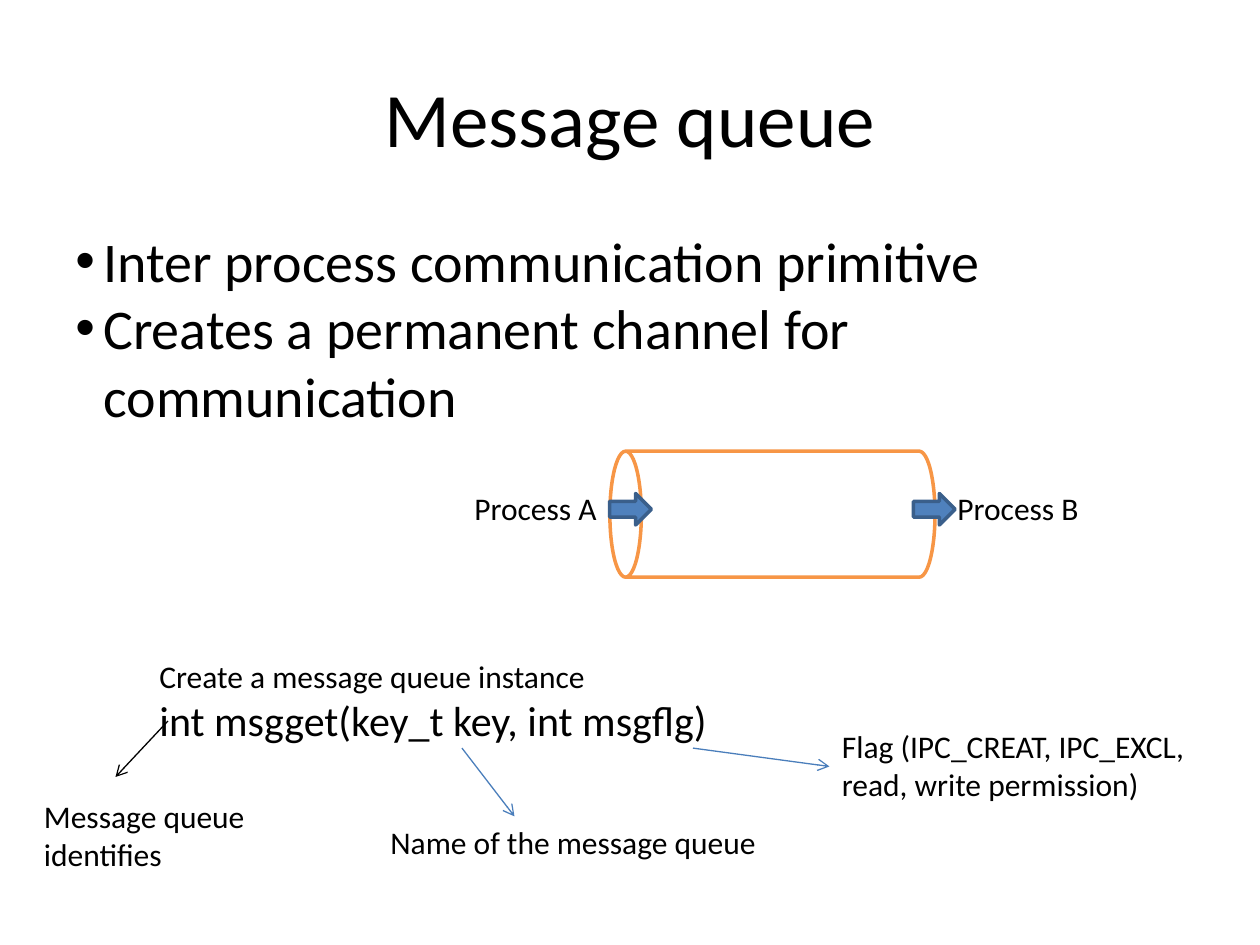
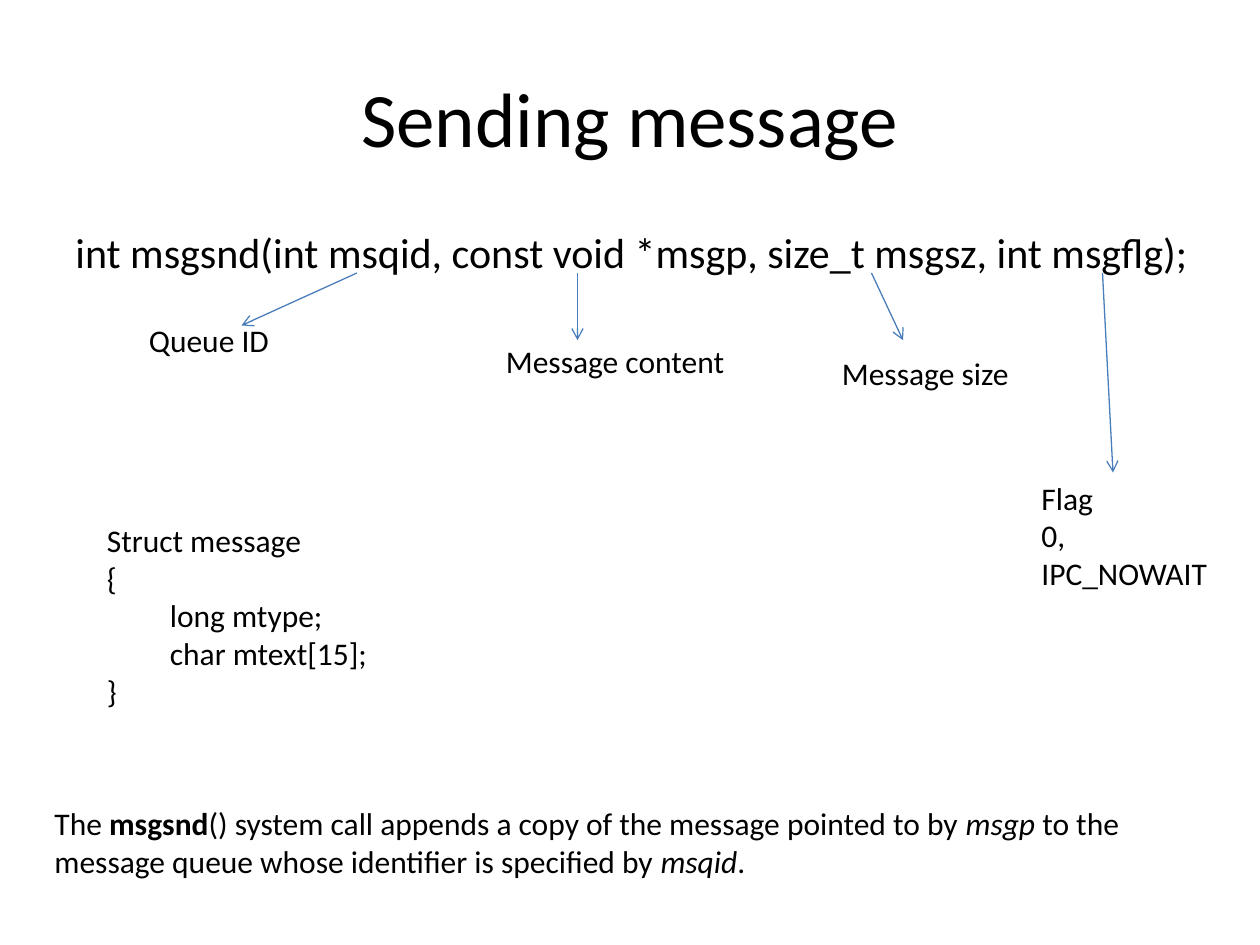
from lxml.etree import SubElement
from pptx import Presentation
from pptx.dml.color import RGBColor
from pptx.enum.shapes import MSO_CONNECTOR, MSO_SHAPE
from pptx.enum.text import MSO_ANCHOR, PP_ALIGN
from pptx.oxml.ns import qn
from pptx.util import Pt

BLACK, WHITE = "000000", "FFFFFF"
BLUE, DARK_BLUE, LINE_BLUE = "4F81BD", "3A5F8B", "4A7EBB"
ORANGE = "F79646"


def color(value):
    """Turn a hex string into a colour."""
    return RGBColor.from_string(value)


class Deck:
    """Holds the shared style and the current slide."""

    font = "Calibri"
    label_size, code_size, body_size, title_size = 18, 24, 32, 44
    bullet_indent = 16

    def __init__(self):
        """Start an empty 4:3 presentation."""
        self.prs = Presentation()
        self.prs.slide_width, self.prs.slide_height = Pt(720), Pt(540)
        self.s = None

    def slide(self, title):
        """Add a blank slide with its centred title."""
        self.s = self.prs.slides.add_slide(self.prs.slide_layouts[6])
        tf = self.text(36, 21.6, 648, 90, title, size=self.title_size)
        tf.vertical_anchor = MSO_ANCHOR.MIDDLE
        tf.paragraphs[0].alignment = PP_ALIGN.CENTER

    def style(self, p, size):
        """Format every run of a paragraph."""
        for r in p.runs:
            r.font.name, r.font.size = self.font, Pt(size)
            r.font.color.rgb = color(BLACK)

    def text(self, x, y, w, h, *lines, size=label_size):
        """Add a wrapping text box with one paragraph per line."""
        tf = self.s.shapes.add_textbox(Pt(x), Pt(y), Pt(w), Pt(h)).text_frame
        tf.word_wrap = True
        tf.text = "\n".join(lines)
        for p in tf.paragraphs:
            self.style(p, size)
        return tf

    def bullets(self, x, y, w, h, *lines):
        """Add a bulleted list."""
        for p in self.text(x, y, w, h, *lines, size=self.body_size).paragraphs:
            pPr = p._p.get_or_add_pPr()
            indent = Pt(self.bullet_indent)
            pPr.set("marL", str(indent))
            pPr.set("indent", str(-indent))
            SubElement(pPr, qn("a:buFont"), typeface="Arial")
            SubElement(pPr, qn("a:buChar"), char="•")

    def rich(self, x, y, w, h, *pieces):
        """Add one paragraph of (text, bold, italic) pieces."""
        p = self.text(x, y, w, h, "").paragraphs[0]
        for text, bold, italic in pieces:
            r = p.add_run()
            r.text = text
            r.font.bold, r.font.italic = bold, italic
        self.style(p, self.label_size)

    def shape(self, kind, x, y, w, h, fill, line, rotation=0):
        """Add a filled preset shape with a 2 pt outline."""
        sp = self.s.shapes.add_shape(kind, Pt(x), Pt(y), Pt(w), Pt(h))
        sp.rotation = rotation
        sp.shadow.inherit = False
        sp.fill.solid()
        sp.fill.fore_color.rgb = color(fill)
        sp.line.color.rgb = color(line)
        sp.line.width = Pt(2)

    def arrow(self, x1, y1, x2, y2, line=LINE_BLUE):
        """Add a thin line with an open arrowhead at its end."""
        c = self.s.shapes.add_connector(
            MSO_CONNECTOR.STRAIGHT, Pt(x1), Pt(y1), Pt(x2), Pt(y2))
        c.line.color.rgb = color(line)
        c.line.width = Pt(0.75)
        SubElement(c.line._get_or_add_ln(), qn("a:tailEnd"), type="arrow")
        SubElement(c._element.spPr, qn("a:effectLst"))


def message_queue(d):
    """Build the slide that introduces the queue."""
    d.slide("Message queue")
    d.bullets(36, 126, 648, 356.4, "Inter process communication primitive",
              "Creates a permanent channel for communication")

    d.shape(MSO_SHAPE.CAN, 405.4, 200.9, 72, 185.8, WHITE, ORANGE, 270)
    d.text(264, 276, 138, 29, "Process A")
    d.text(540, 276, 96, 50, "Process B")
    for x in (348.4, 522):
        d.shape(MSO_SHAPE.RIGHT_ARROW, x, 282, 23.8, 18, BLUE, DARK_BLUE)

    tf = d.text(84, 372, 378, 108, "Create a message queue instance",
                "int msgget(key_t key, int msgflg)")
    d.style(tf.paragraphs[1], d.code_size)
    d.arrow(96, 412, 66, 444, BLACK)
    d.text(18, 452, 156, 50, "Message queue identifies")
    d.arrow(264, 427.5, 294, 466.5)
    d.text(216, 466.5, 270, 50, "Name of the message queue")
    d.arrow(396, 427.5, 474, 438)
    d.text(474, 412, 234, 72,
           "Flag (IPC_CREAT, IPC_EXCL, read, write permission)")


def sending_message(d):
    """Build the slide that explains the send call."""
    d.slide("Sending message")
    d.text(36, 126, 672, 356.4,
           "int msgsnd(int msqid, const void *msgp, size_t msgsz, int msgflg);",
           size=d.code_size)

    arguments = [
        ((204, 138, 186), (78, 180, 96, 50), ["Queue ID"]),
        ((330, 330, 194.4), (282, 192, 168, 29), ["Message content"]),
        ((498, 516, 194.4), (474, 199, 126, 50), ["Message size"]),
        ((630, 636, 270), (588, 270, 126, 72), ["Flag", "0,", "IPC_NOWAIT"]),
    ]
    for (x1, x2, y2), box, lines in arguments:
        d.arrow(x1, 156, x2, y2)
        d.text(*box, *lines)

    d.text(54, 294, 288, 115, "Struct message", "{", "\tlong mtype;",
           "\tchar mtext[15];", "}")
    d.rich(24, 456, 627, 72,
           ("The ", False, False),
           ("msgsnd", True, False),
           ("() system call appends a copy of the message pointed to by ",
            False, False),
           ("msgp", False, True),
           (" to the message queue whose identifier is specified by ",
            False, False),
           ("msqid", False, True),
           (".", False, False))


def main():
    """Build and save the presentation."""
    d = Deck()
    message_queue(d)
    sending_message(d)
    d.prs.save("out.pptx")


if __name__ == "__main__":
    main()
